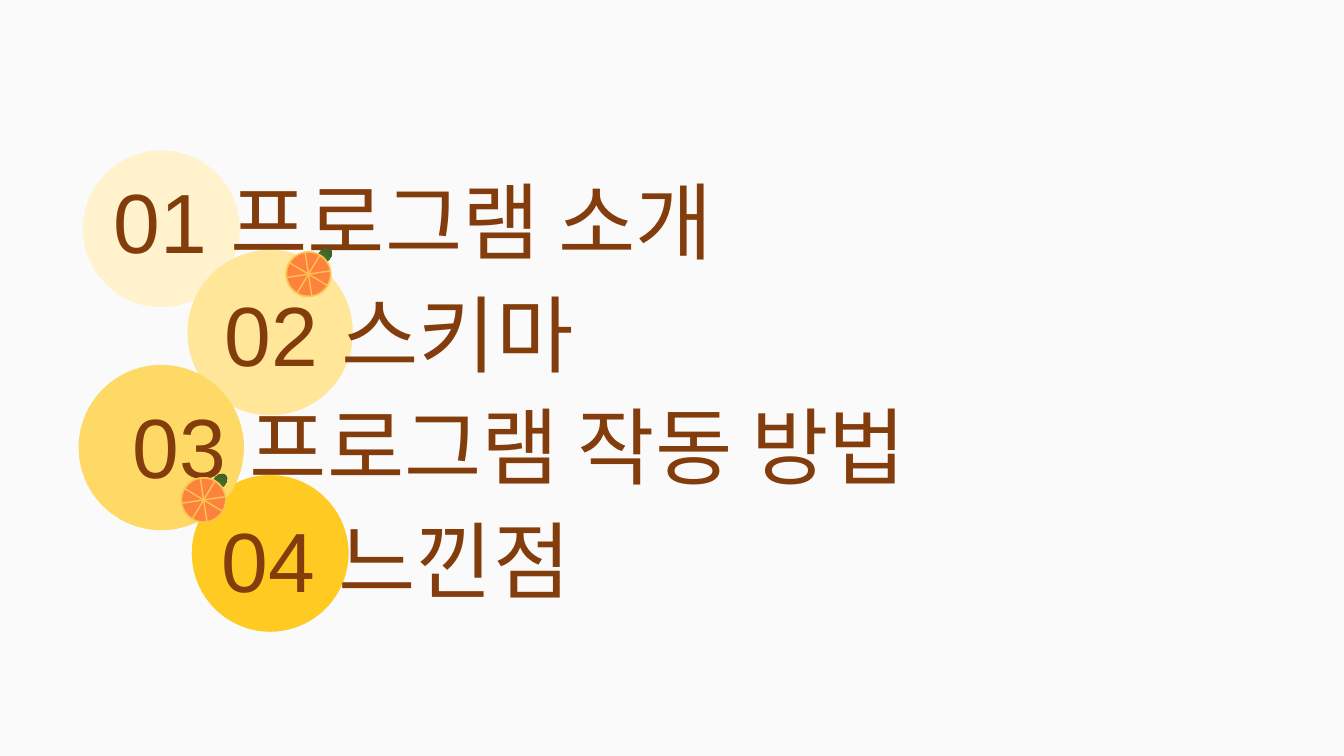
from pptx import Presentation
from pptx.dml.color import RGBColor
from pptx.enum.shapes import MSO_SHAPE
from pptx.enum.text import MSO_AUTO_SIZE
from pptx.util import Inches, Pt

CIRCLE = MSO_SHAPE.FLOWCHART_CONNECTOR
SLICE = MSO_SHAPE.FLOWCHART_SUMMING_JUNCTION
OVAL = MSO_SHAPE.OVAL
FIT_TEXT = MSO_AUTO_SIZE.SHAPE_TO_FIT_TEXT

COLORS = {
    "background": "FAFAFA",
    "text": "833C0B",
    "cream": "FFF2CC",
    "light": "FFE699",
    "gold": "FFD966",
    "amber": "FFCA21",
    "orange": "FD823D",
    "rind": "FDC451",
    "leaf_dark": "385623",
    "leaf_light": "548135",
}
FONT = "Arial"
CIRCLE_SIZE = 1.64
ORANGE_SIZE = 0.44

# left, top, fill, has a border; from back to front
CIRCLES = [
    (0.78, 1.45, "cream", True),
    (1.86, 2.48, "light", False),
    (1.86, 4.67, "amber", True),
    (0.78, 3.62, "gold", False),
]
# left, top, width, height, text
ENTRIES = [
    (1.03, 1.63, 12.19, 1.09, "01 프로그램 소개"),
    (2.13, 2.75, 10.14, 1.1, "02 스키마"),
    (1.22, 3.86, 10.22, 1.1, "03 프로그램 작동 방법"),
    (2.1, 5, 6.04, 1.09, "04 느낀점"),
]
ORANGES = [(2.84, 2.5), (1.8, 4.74)]


def rgb(name):
    return RGBColor.from_string(COLORS[name])


def add_shape(shapes, kind, x, y, w, h, fill=None, line=None, width=1, turn=0):
    sp = shapes.add_shape(kind, Inches(x), Inches(y), Inches(w), Inches(h))
    sp.shadow.inherit = False
    sp.rotation = turn
    if fill:
        sp.fill.solid()
        sp.fill.fore_color.rgb = rgb(fill)
    else:
        sp.fill.background()
    if line:
        sp.line.color.rgb = rgb(line)
        sp.line.width = Pt(width)
    else:
        sp.line.fill.background()
    return sp


def add_circle(slide, x, y, fill, bordered):
    line = "background" if bordered else None
    add_shape(slide.shapes, CIRCLE, x, y, CIRCLE_SIZE, CIRCLE_SIZE, fill, line, 6)


def add_entry(slide, x, y, w, h, text):
    box = slide.shapes.add_textbox(Inches(x), Inches(y), Inches(w), Inches(h))
    tf = box.text_frame
    tf.word_wrap = True
    tf.auto_size = FIT_TEXT
    p = tf.paragraphs[0]
    p.text = text
    p.font.name = FONT
    p.font.size = Pt(60)
    p.font.color.rgb = rgb("text")


def add_orange(slide, x, y):
    shapes = slide.shapes.add_group_shape().shapes
    # Leaf
    leaf = add_shape(shapes, OVAL, x + 0.32, y - 0.05, 0.12, 0.17, turn=44.7)
    leaf.fill.gradient()
    leaf.fill.gradient_angle = 270
    for stop, name in zip(leaf.fill.gradient_stops, ("leaf_dark", "leaf_light")):
        stop.color.rgb = rgb(name)
    # Two crossed discs make the segments
    for fill, turn in (("orange", 345.9), (None, 36.3)):
        add_shape(shapes, SLICE, x, y, ORANGE_SIZE, ORANGE_SIZE, fill, "rind", turn=turn)


def build_contents(prs):
    slide = prs.slides.add_slide(prs.slide_layouts[6])
    slide.background.fill.solid()
    slide.background.fill.fore_color.rgb = rgb("background")
    for circle in CIRCLES:
        add_circle(slide, *circle)
    for entry in ENTRIES:
        add_entry(slide, *entry)
    for orange in ORANGES:
        add_orange(slide, *orange)


def main():
    prs = Presentation()
    prs.slide_width = Inches(13.33)
    prs.slide_height = Inches(7.5)
    build_contents(prs)
    prs.save("out.pptx")


if __name__ == "__main__":
    main()
